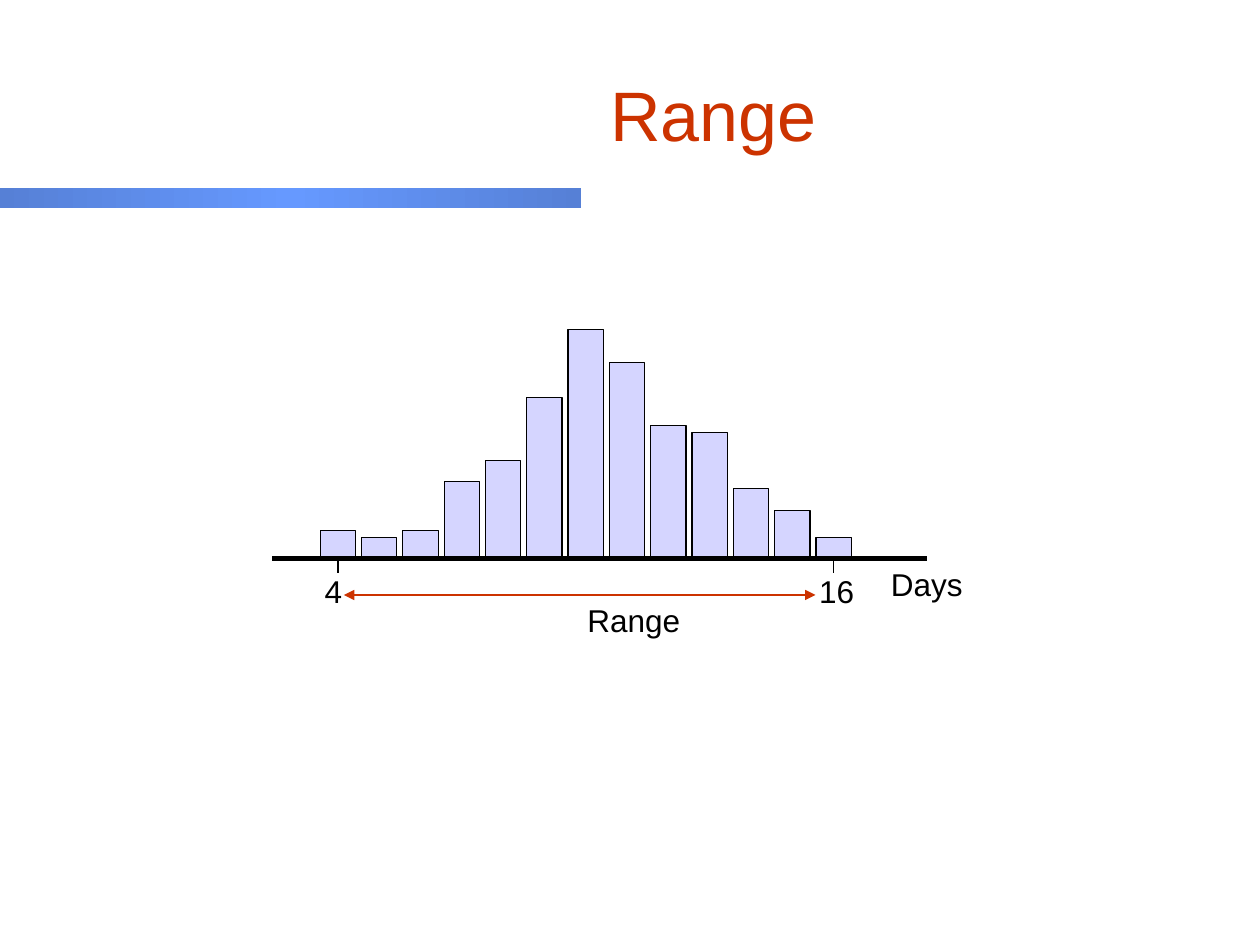
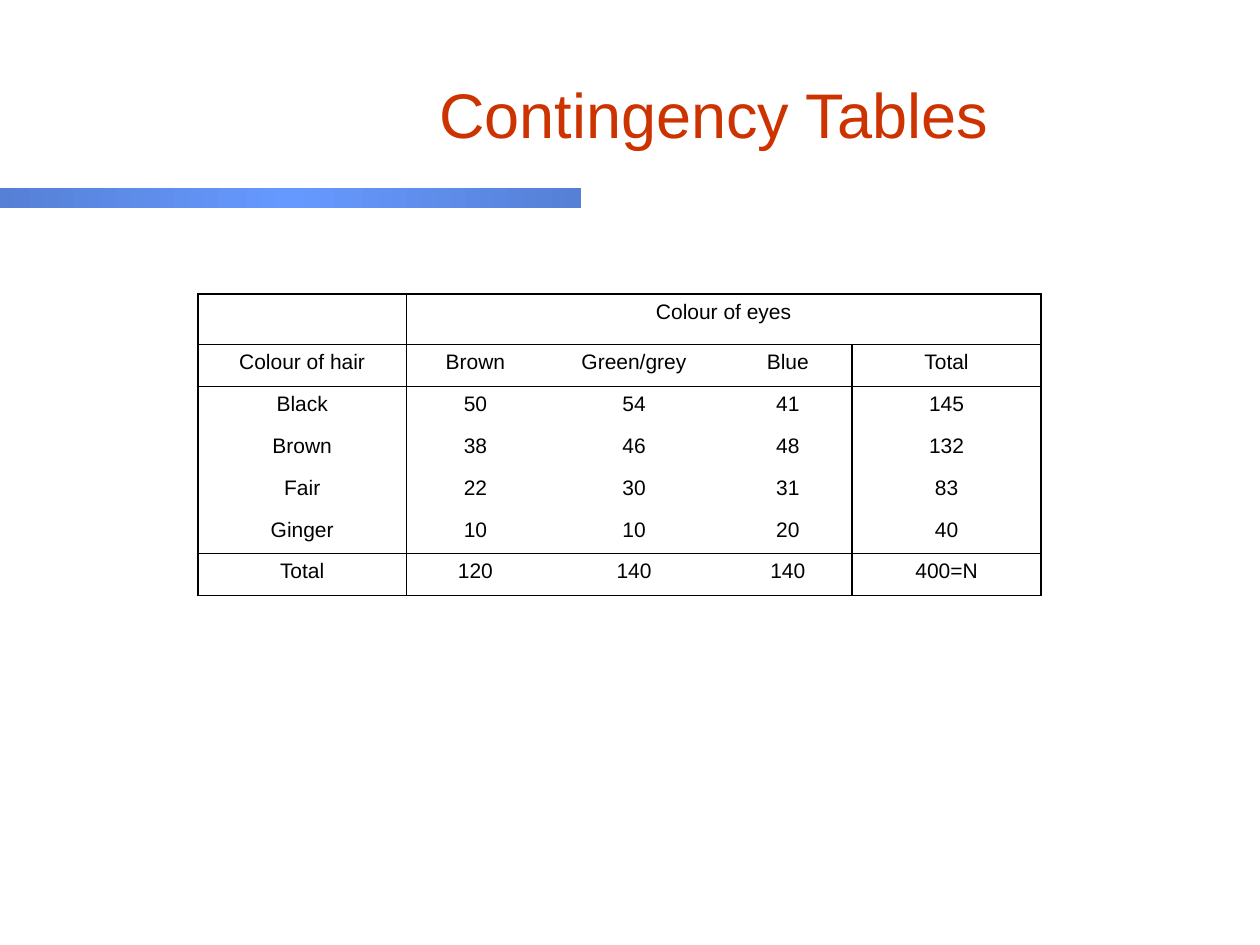
from copy import deepcopy
from dataclasses import dataclass

from pptx import Presentation
from pptx.dml.color import RGBColor
from pptx.enum.shapes import MSO_CONNECTOR, MSO_SHAPE
from pptx.enum.text import MSO_ANCHOR, MSO_AUTO_SIZE, PP_ALIGN
from pptx.oxml.ns import qn
from pptx.util import Pt
from lxml import etree

RECT = MSO_SHAPE.RECTANGLE
STRAIGHT = MSO_CONNECTOR.STRAIGHT
MIDDLE = MSO_ANCHOR.MIDDLE
FIT = MSO_AUTO_SIZE.SHAPE_TO_FIT_TEXT
LEFT, CENTER = PP_ALIGN.LEFT, PP_ALIGN.CENTER


@dataclass(frozen=True)
class Theme:
    font: str = "Arial"
    black: RGBColor = RGBColor(0x00, 0x00, 0x00)
    accent: RGBColor = RGBColor(0xCC, 0x33, 0x00)
    bar: RGBColor = RGBColor(0xD5, 0xD5, 0xFF)
    band_edge: RGBColor = RGBColor(0x56, 0x80, 0xD6)
    band_middle: RGBColor = RGBColor(0x66, 0x99, 0xFF)
    label_size: int = 18
    cell_size: int = 12
    thin: float = 0.75


T = Theme()


def write(tf, text, size, color=T.black, align=LEFT):
    tf.text = text
    p = tf.paragraphs[0]
    p.alignment = align
    for r in p.runs:
        r.font.name, r.font.size = T.font, Pt(size)
        r.font.color.rgb = color


def add_line(slide, x1, y1, x2, y2, width=T.thin, color=T.black, arrows=False):
    s = slide.shapes.add_connector(STRAIGHT, Pt(x1), Pt(y1), Pt(x2), Pt(y2))
    s.line.width = Pt(width)
    s.line.color.rgb = color
    sp_pr = s._element.spPr
    if arrows:
        for end in ("a:headEnd", "a:tailEnd"):
            etree.SubElement(sp_pr.find(qn("a:ln")), qn(end), type="triangle")
    etree.SubElement(sp_pr, qn("a:effectLst"))


prs = Presentation()
prs.slide_width, prs.slide_height = Pt(720), Pt(540)

# Shared band and title
slides = []
for title, size in (("Range", 40), ("Contingency Tables", 36)):
    slide = prs.slides.add_slide(prs.slide_layouts[6])
    slides.append(slide)

    band = slide.shapes.add_shape(RECT, Pt(0), Pt(107.3), Pt(332), Pt(11.5))
    band.shadow.inherit = False
    band.line.fill.background()
    band.fill.gradient()
    band.fill.gradient_angle = 0
    stop_list = band._element.spPr.find(".//" + qn("a:gsLst"))
    stop_list.append(deepcopy(stop_list[0]))
    colors = (T.band_edge, T.band_middle, T.band_edge)
    for stop, position, color in zip(band.fill.gradient_stops, (0, 0.5, 1), colors):
        stop.position = position
        stop.color.rgb = color

    s = slide.shapes.add_textbox(Pt(110), Pt(20), Pt(595.5), Pt(90))
    s.text_frame.word_wrap = True
    s.text_frame.vertical_anchor = MIDDLE
    write(s.text_frame, title, size, T.accent, CENTER)

range_slide, table_slide = slides

# Histogram axis and bars
AXIS_Y, BAR_BASE = 319, 318.3
FIRST_BAR, BAR_PITCH, BAR_WIDTH = 183, 23.6, 20.2
BAR_HEIGHTS = (15, 11, 15, 43, 55, 91, 130, 111, 75, 71, 39, 26.5, 11)

add_line(range_slide, 155.5, AXIS_Y, 530, AXIS_Y, width=3)
for i, height in enumerate(BAR_HEIGHTS):
    s = range_slide.shapes.add_shape(
        RECT, Pt(FIRST_BAR + i * BAR_PITCH), Pt(BAR_BASE - height),
        Pt(BAR_WIDTH), Pt(height))
    s.shadow.inherit = False
    s.fill.solid()
    s.fill.fore_color.rgb = T.bar
    s.line.color.rgb = T.black
    s.line.width = Pt(T.thin)

# Ticks under the first and last bar, and the range arrow
for i in (0, len(BAR_HEIGHTS) - 1):
    tick_x = FIRST_BAR + i * BAR_PITCH + BAR_WIDTH / 2
    add_line(range_slide, tick_x, AXIS_Y, tick_x, AXIS_Y + 8.5)
add_line(range_slide, 196.5, 340, 466, 340, color=T.accent, arrows=True)

# Axis labels
for text, x, y, width in (("4", 178.5, 323.5, 24.5), ("16", 461, 323.5, 34.5),
                          ("Days", 502, 319.5, 55.5), ("Range", 328.5, 340, 67.5)):
    s = range_slide.shapes.add_textbox(Pt(x), Pt(y), Pt(width), Pt(29))
    s.text_frame.word_wrap = False
    s.text_frame.auto_size = FIT
    write(s.text_frame, text, T.label_size)

# Contingency table
ROWS = (
    ("", "Colour of eyes", "", "", ""),
    ("Colour of hair", "Brown", "Green/grey", "Blue", "Total"),
    ("Black", "50", "54", "41", "145"),
    ("Brown", "38", "46", "48", "132"),
    ("Fair", "22", "30", "31", "83"),
    ("Ginger", "10", "10", "20", "40"),
    ("Total", "120", "140", "140", "400=N"),
)
COL_WIDTHS = (119, 79, 102.3, 73.5, 108)
ROW_HEIGHT = 23.9
RULED_ROWS = {0, 1, 2, 6, 7}
RULED_COLS = {0, 1, 4, 5}

table = table_slide.shapes.add_table(
    len(ROWS), len(COL_WIDTHS), Pt(113.2), Pt(168),
    Pt(sum(COL_WIDTHS)), Pt(ROW_HEIGHT * len(ROWS))).table
table.first_row = table.horz_banding = False
for column, width in zip(table.columns, COL_WIDTHS):
    column.width = Pt(width)
for row in table.rows:
    row.height = Pt(ROW_HEIGHT)
table.cell(0, 1).merge(table.cell(0, 4))

for r, values in enumerate(ROWS):
    for c, value in enumerate(values):
        cell = table.cell(r, c)
        if not cell.is_spanned:
            write(cell.text_frame, value, T.cell_size, align=CENTER)
        right = c + (cell.span_width if cell.is_merge_origin else 1)
        sides = (("L", c in RULED_COLS), ("R", right in RULED_COLS),
                 ("T", r in RULED_ROWS), ("B", r + 1 in RULED_ROWS))
        tc_pr = cell._tc.get_or_add_tcPr()
        for side, ruled in sides:
            ln = etree.SubElement(tc_pr, qn("a:ln" + side), w=str(Pt(1)))
            if ruled:
                fill = etree.SubElement(ln, qn("a:solidFill"))
                etree.SubElement(fill, qn("a:srgbClr"), val=str(T.black))
            else:
                etree.SubElement(ln, qn("a:noFill"))
        cell.fill.background()

prs.save("out.pptx")
